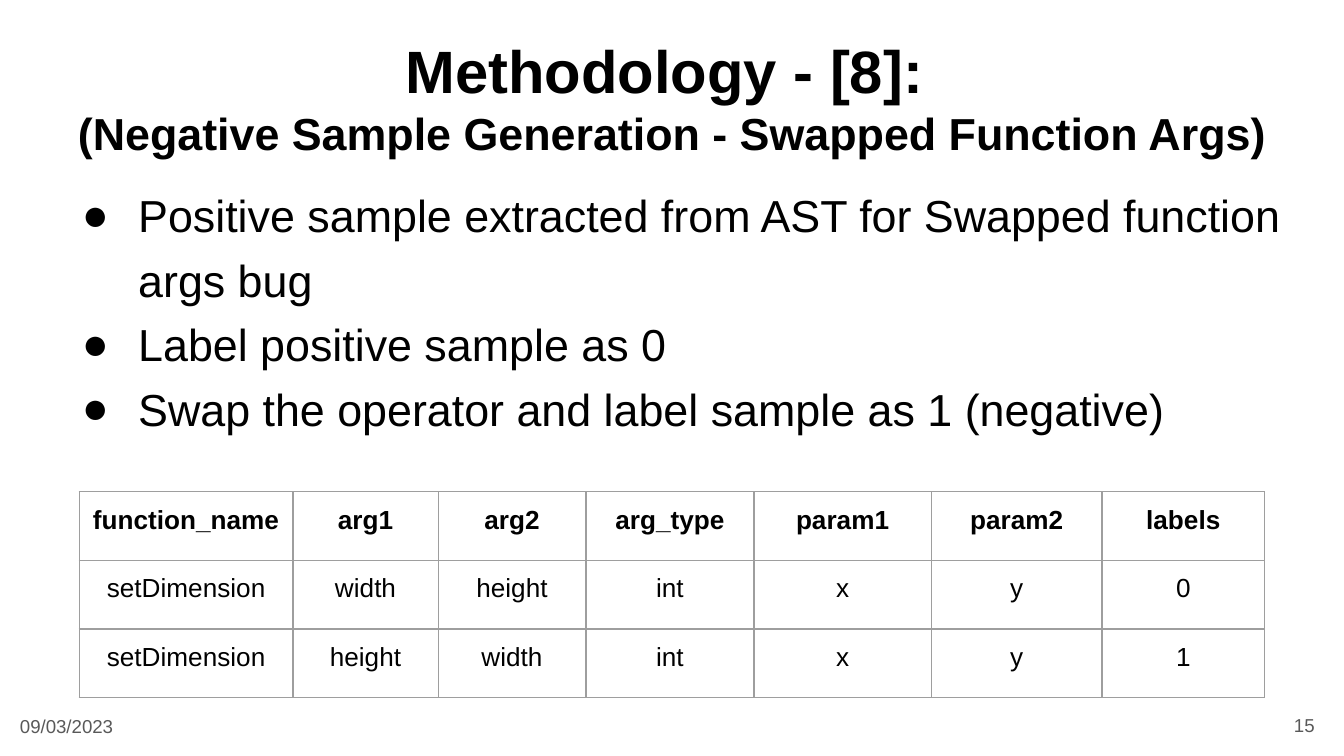
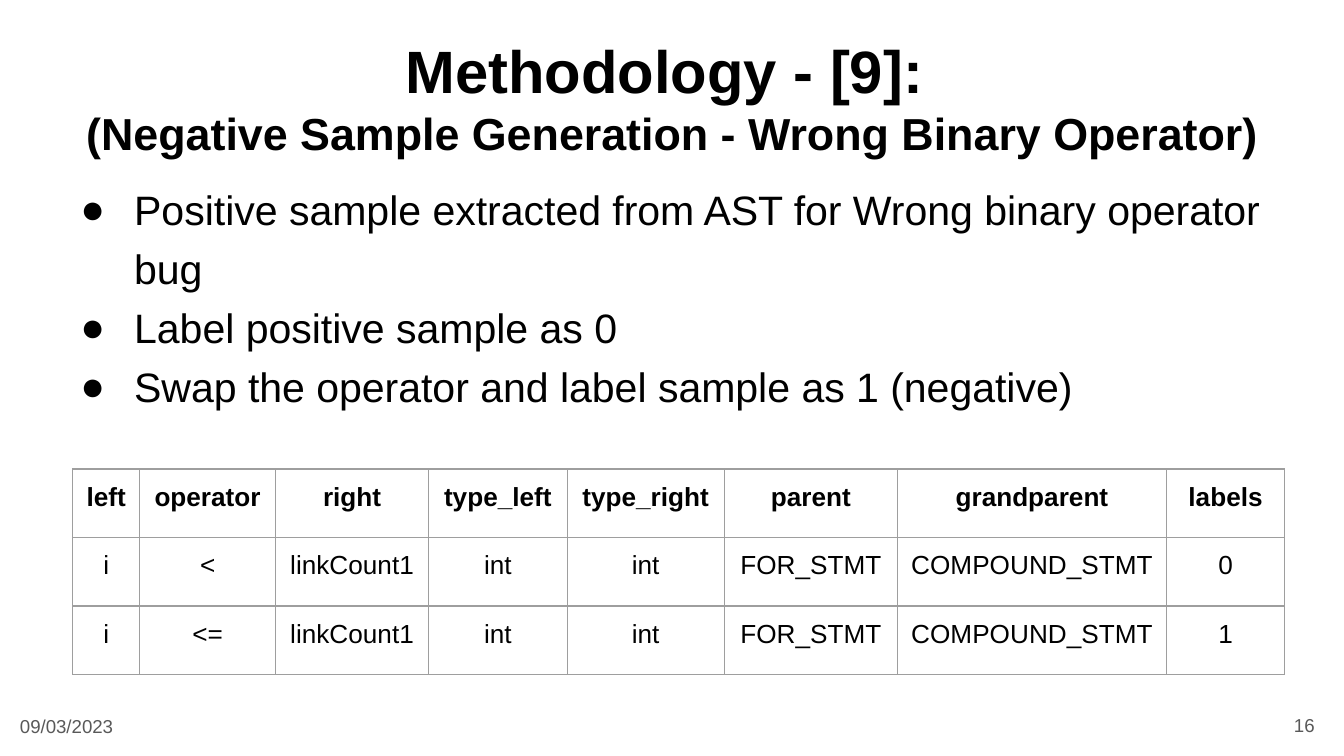
"""Build two methodology slides on negative sample generation."""
import lxml.etree
import pptx
import pptx.dml.color
import pptx.enum.text
import pptx.oxml.ns
import pptx.util

Inches = pptx.util.Inches
Align = pptx.enum.text.PP_ALIGN
Anchor = pptx.enum.text.MSO_ANCHOR

BLACK = pptx.dml.color.RGBColor(0x00, 0x00, 0x00)
FOOTER_GREY = pptx.dml.color.RGBColor(0x59, 0x59, 0x59)
BORDER_GREY = pptx.dml.color.RGBColor(0x9E, 0x9E, 0x9E)
FONT = "Arial"
SLIDE_WIDTH = 10
SLIDE_HEIGHT = SLIDE_WIDTH * 9 / 16
MARGIN = 0.1
SIDES = ("left", "top", "right", "bottom")
ROW_HEIGHT = 0.51
TITLE_BOX = (0.34, 0.15, 9.32, 0.78)
DATE_BOX = (0.05, 5.22, 1.51, 0.37)
NUMBER_BOX = (8.93, 5.18, 0.95, 0.43)
DATE = "09/03/2023"

SLIDES = [
    {
        "number": 15,
        "title": "Methodology - [8]:",
        "subtitle": "(Negative Sample Generation - Swapped Function Args)",
        "bullets": [
            "Positive sample extracted from AST for Swapped function args bug",
            "Label positive sample as 0",
            "Swap the operator and label sample as 1 (negative)",
        ],
        "bullet_box": (0.43, 1.22, 9.32, 3.96),
        "bullet_size": 24,
        "hanging": 0.42,
        "table_corner": (0.59, 3.66),
        "columns": [1.59, 1.08, 1.1, 1.25, 1.32, 1.27, 1.21],
        "rows": [
            ("function_name", "arg1", "arg2", "arg_type", "param1", "param2", "labels"),
            ("setDimension", "width", "height", "int", "x", "y", "0"),
            ("setDimension", "height", "width", "int", "x", "y", "1"),
        ],
    },
    {
        "number": 16,
        "title": "Methodology - [9]:",
        "subtitle": "(Negative Sample Generation - Wrong Binary Operator)",
        "bullets": [
            "Positive sample extracted from AST for Wrong binary operator bug",
            "Label positive sample as 0",
            "Swap the operator and label sample as 1 (negative)",
        ],
        "bullet_box": (0.4, 1.2, 9.32, 3.96),
        "bullet_size": 22,
        "hanging": 0.4,
        "table_corner": (0.54, 3.49),
        "columns": [0.5, 1.01, 1.14, 1.03, 1.17, 1.29, 2, 0.88],
        "rows": [
            ("left", "operator", "right", "type_left", "type_right", "parent",
             "grandparent", "labels"),
            ("i", "<", "linkCount1", "int", "int", "FOR_STMT", "COMPOUND_STMT", "0"),
            ("i", "<=", "linkCount1", "int", "int", "FOR_STMT", "COMPOUND_STMT", "1"),
        ],
    },
]


def set_attributes(target, values):
    for name, value in values.items():
        setattr(target, name, value)


def set_margins(target):
    set_attributes(target, {f"margin_{side}": Inches(MARGIN) for side in SIDES})


def add_child(parent, tag, **attributes):
    return lxml.etree.SubElement(parent, pptx.oxml.ns.qn(tag), attributes)


def prepare_frame(frame, anchor=Anchor.TOP):
    set_margins(frame)
    set_attributes(frame, {
        "word_wrap": True,
        "auto_size": pptx.enum.text.MSO_AUTO_SIZE.NONE,
        "vertical_anchor": anchor,
    })


def write_lines(frame, lines, align, color=BLACK, bold=False):
    for index, runs in enumerate(lines):
        paragraph = frame.add_paragraph() if index else frame.paragraphs[0]
        paragraph.alignment = align
        for text, size in runs:
            run = paragraph.add_run()
            run.text = text
            set_attributes(run.font, {"name": FONT, "size": pptx.util.Pt(size), "bold": bold})
            run.font.color.rgb = color


def add_text(slide, box, lines, align=Align.LEFT, color=BLACK, anchor=Anchor.TOP):
    frame = slide.shapes.add_textbox(*map(Inches, box)).text_frame
    prepare_frame(frame, anchor)
    write_lines(frame, lines, align, color)
    return frame


def add_title(slide, content):
    title = slide.shapes.title
    set_attributes(title, dict(zip(("left", "top", "width", "height"), map(Inches, TITLE_BOX))))
    prepare_frame(title.text_frame)
    lines = [[(content["title"], 32), (" ", 28)], [(content["subtitle"], 24)]]
    write_lines(title.text_frame, lines, Align.CENTER, bold=True)


def add_bullets(slide, content):
    lines = [[(text, content["bullet_size"])] for text in content["bullets"]]
    frame = add_text(slide, content["bullet_box"], lines)
    for index, paragraph in enumerate(frame.paragraphs):
        spacing = {"line_spacing": 1.2, "space_before": pptx.util.Pt(0 if index else 10)}
        set_attributes(paragraph, spacing)
        properties = paragraph._p.get_or_add_pPr()
        properties.set("marL", str(Inches(0.5)))
        properties.set("indent", str(-Inches(content["hanging"])))
        add_child(add_child(properties, "a:buClr"), "a:srgbClr", val=str(BLACK))
        add_child(properties, "a:buFont", typeface=FONT)
        add_child(properties, "a:buChar", char="●")


def add_borders(cell):
    properties = cell._tc.get_or_add_tcPr()
    for side in "LRTB":
        line = add_child(properties, f"a:ln{side}", w=str(pptx.util.Pt(0.75)))
        add_child(add_child(line, "a:solidFill"), "a:srgbClr", val=str(BORDER_GREY))


def add_sample_table(slide, content):
    rows, columns = content["rows"], content["columns"]
    size = (sum(columns), ROW_HEIGHT * len(rows))
    table = slide.shapes.add_table(
        len(rows), len(columns), *map(Inches, content["table_corner"] + size)).table
    set_attributes(table, {"first_row": False, "horz_banding": False})
    for column, width in zip(table.columns, columns):
        column.width = Inches(width)
    for row_index, row in enumerate(rows):
        table.rows[row_index].height = Inches(ROW_HEIGHT)
        for column_index, text in enumerate(row):
            cell = table.cell(row_index, column_index)
            set_margins(cell)
            write_lines(cell.text_frame, [[(text, 14)]], Align.CENTER, bold=row_index == 0)
            add_borders(cell)
            cell.fill.background()


def add_footer(slide, number):
    add_text(slide, DATE_BOX, [[(DATE, 10)]], color=FOOTER_GREY)
    add_text(slide, NUMBER_BOX, [[(str(number), 10)]], Align.RIGHT, FOOTER_GREY, Anchor.MIDDLE)


def main():
    presentation = pptx.Presentation()
    presentation.slide_width = Inches(SLIDE_WIDTH)
    presentation.slide_height = Inches(SLIDE_HEIGHT)
    title_only = presentation.slide_layouts.get_by_name("Title Only")
    for content in SLIDES:
        slide = presentation.slides.add_slide(title_only)
        add_title(slide, content)
        add_footer(slide, content["number"])
        add_bullets(slide, content)
        add_sample_table(slide, content)
    presentation.save("out.pptx")


if __name__ == "__main__":
    main()
